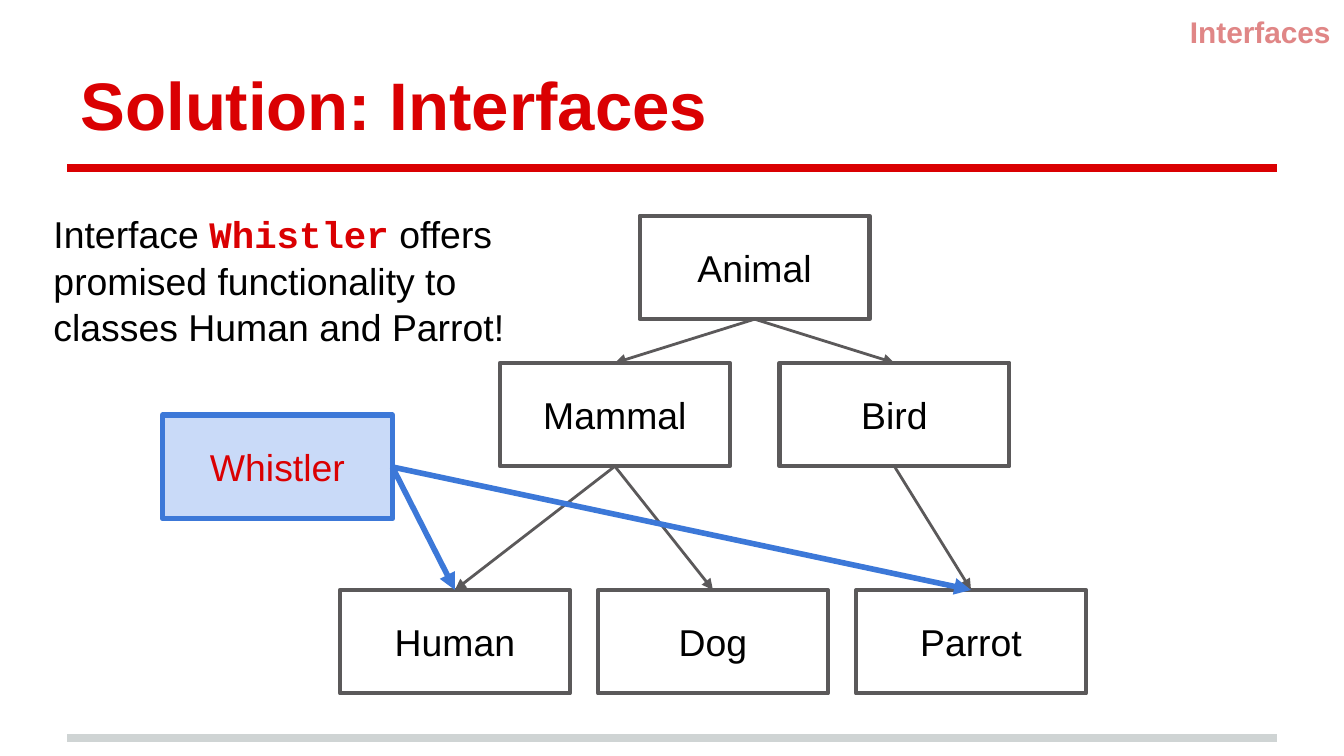
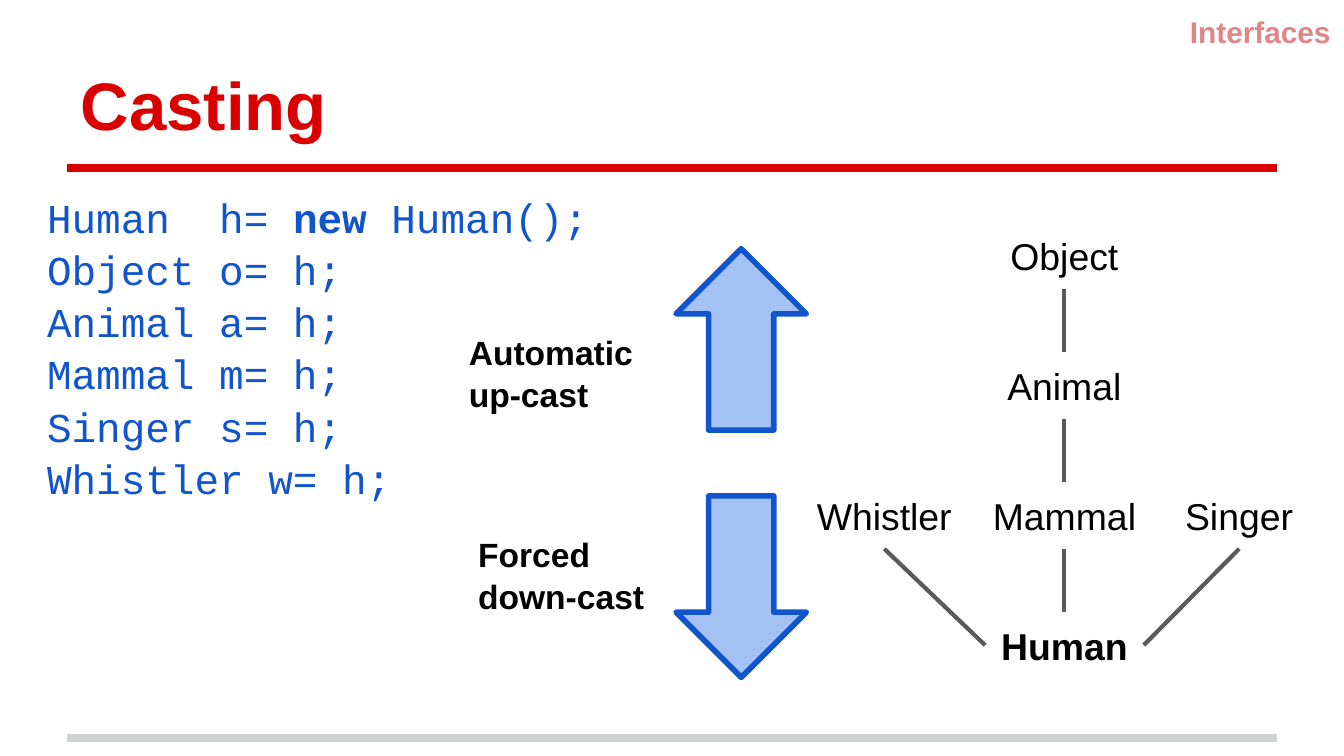
from lxml import etree
from pptx import Presentation
from pptx import util as u
from pptx.dml.color import RGBColor
from pptx.enum import shapes, text
from pptx.oxml import ns

RED = RGBColor(0xDA, 0x00, 0x02)
PALE_RED = RGBColor(0xE0, 0x86, 0x86)
PALE_GRAY = RGBColor(0xCF, 0xD4, 0xD4)
GRAY = RGBColor(0x5B, 0x59, 0x5A)
BLACK = RGBColor(0x00, 0x00, 0x00)
BLUE = RGBColor(0x3C, 0x78, 0xD8)
PALE_BLUE = RGBColor(0xC9, 0xDA, 0xF8)
CODE_BLUE = RGBColor(0x11, 0x55, 0xCC)
ARROW_BLUE = RGBColor(0xA4, 0xC2, 0xF4)
SANS, MONO = "Arial", "Courier New"

COLUMNS, ROWS = 100, 56.25
CELL = u.Inches(0.1)
NODE_WIDTH, NODE_HEIGHT = 17.1, 7.7
LABEL_HEIGHT = 5
TOP, LEFT, BOTTOM, RIGHT = range(4)  # connection sites of a box
CONTENT_LAYOUT, TITLE_LAYOUT = 1, 5


def cells(*counts):
    return [round(count * CELL) for count in counts]


def add_xml(parent, tag, **attributes):
    return etree.SubElement(parent, ns.qn(tag), attributes)


class Lesson:
    """Holds the deck, its style and the current page."""

    def __init__(self):
        self.deck = Presentation()
        self.deck.slide_width, self.deck.slide_height = cells(COLUMNS, ROWS)
        self.page = None

    def start_page(self, title, layout):
        self.page = self.deck.slides.add_slide(self.deck.slide_layouts[layout])
        for row, color in ((54.9, PALE_GRAY), (12.5, RED)):
            self.line((5, row), (95, row), color, 4)
        box = self.place(self.page.shapes.title, 5, 2.3, 90, 9.4)
        self.set_text(box, [title], 36, RED, bold=True, anchor=text.MSO_ANCHOR.BOTTOM)
        self.text_box((76.6, 0, 23.4, 4), ["Interfaces"], 16, PALE_RED,
                      bold=True, align=text.PP_ALIGN.RIGHT)

    def place(self, box, *area):
        box.left, box.top, box.width, box.height = cells(*area)
        return box

    def set_text(self, box, lines, size, color=BLACK, name=SANS, bold=False,
                 align=text.PP_ALIGN.LEFT, anchor=text.MSO_ANCHOR.TOP,
                 spacing=1.0, accent=None):
        """Fill a box; a line is a string or a list whose odd items are accented."""
        frame = box.text_frame
        frame.word_wrap = True
        frame.auto_size = text.MSO_AUTO_SIZE.NONE
        frame.vertical_anchor = anchor
        frame.margin_left = frame.margin_right = CELL
        frame.margin_top = frame.margin_bottom = CELL
        for index, line in enumerate(lines):
            para = frame.add_paragraph() if index else frame.paragraphs[0]
            para.alignment = align
            para.line_spacing = spacing
            para.space_before = u.Pt(0)
            for part in [line] if isinstance(line, str) else line:
                para.add_run().text = part
            for font in (para.font, *(span.font for span in para.runs)):
                font.size, font.name, font.bold = u.Pt(size), name, bold
                font.color.rgb = color
            for span in para.runs[1::2]:
                span.font.bold = True
                if accent:
                    span.font.name, span.font.color.rgb = accent

    def text_box(self, area, lines, size, color=BLACK, **style):
        box = self.page.shapes.add_textbox(*cells(*area))
        self.set_text(box, lines, size, color, **style)
        return box

    def code(self, area, lines):
        box = self.place(self.page.placeholders[1], *area)
        self.set_text(box, lines, 22, CODE_BLUE, MONO, spacing=1.06)
        for para in box.text_frame.paragraphs:
            settings = para._p.get_or_add_pPr()
            settings.set("marL", "0")
            settings.set("indent", "0")
            bullet = add_xml(settings, "a:buNone")
            settings.find(ns.qn("a:defRPr")).addprevious(bullet)

    def shape(self, kind, area, color, weight, fill=None):
        box = self.page.shapes.add_shape(kind, *cells(*area))
        box.shadow.inherit = False
        if fill is None:
            box.fill.background()
        else:
            box.fill.solid()
            box.fill.fore_color.rgb = fill
        box.line.color.rgb, box.line.width = color, u.Pt(weight)
        add_xml(box.line._get_or_add_ln(), "a:round")
        return box

    def node(self, name, left, top, color=GRAY, weight=2.25, fill=None, ink=BLACK):
        box = self.shape(shapes.MSO_SHAPE.RECTANGLE,
                         (left, top, NODE_WIDTH, NODE_HEIGHT), color, weight, fill)
        self.set_text(box, [name], 20, ink, align=text.PP_ALIGN.CENTER,
                      anchor=text.MSO_ANCHOR.MIDDLE)
        return box

    def label(self, name, center, top, width, bold=False):
        return self.text_box((center - width / 2, top, width, LABEL_HEIGHT), [name], 20,
                             bold=bold, align=text.PP_ALIGN.CENTER,
                             anchor=text.MSO_ANCHOR.MIDDLE)

    def line(self, start, end, color, weight):
        line = self.page.shapes.add_connector(
            shapes.MSO_CONNECTOR.STRAIGHT, *cells(*start, *end))
        line.line.color.rgb, line.line.width = color, u.Pt(weight)
        add_xml(line._element.spPr, "a:effectLst")
        return line

    def link(self, source, target, color=GRAY, weight=1.5,
             sites=(BOTTOM, TOP), arrow=True):
        line = self.line((0, 0), (1, 1), color, weight)
        line.begin_connect(source, sites[0])
        line.end_connect(target, sites[1])
        if arrow:
            add_xml(line.line._get_or_add_ln(), "a:tailEnd", type="triangle")


def interfaces_page(lesson):
    lesson.start_page("Solution: Interfaces", TITLE_LAYOUT)
    lesson.text_box((3, 14.6, 39.4, 10.9),
                    [["Interface ", "Whistler",
                      " offers promised functionality to classes Human and Parrot!"]],
                    20, spacing=1.04, accent=(MONO, RED))

    # Class tree
    animal = lesson.node("Animal", 47.6, 16.05)
    mammal, bird = (lesson.node(name, 37.2 + 20.8 * i, 27)
                    for i, name in enumerate(("Mammal", "Bird")))
    human, dog, parrot = (lesson.node(name, 25.3 + 19.2 * i, 43.9)
                          for i, name in enumerate(("Human", "Dog", "Parrot")))
    for parent, child in ((animal, mammal), (animal, bird), (mammal, human),
                          (mammal, dog), (bird, parrot)):
        lesson.link(parent, child)

    # Interface and the classes that implement it
    whistler = lesson.node("Whistler", 12.1, 30.9, BLUE, 3, PALE_BLUE, RED)
    for child in (human, parrot):
        lesson.link(whistler, child, BLUE, 3, (RIGHT, TOP))


def casting_page(lesson):
    lesson.start_page("Casting", CONTENT_LAYOUT)
    lesson.code((2.5, 13.1, 44.9, 40.7),
                [["Human  h= ", "new", " Human();"], "Object o= h;", "Animal a= h;",
                 "Mammal m= h;", "Singer s= h;", "Whistler w= h;"])

    # Cast directions
    for top, turn, left, label_top, lines in (
            (18.5, 0, 33.9, 23.6, ["Automatic", "up-cast"]),
            (36.9, 180, 34.6, 38.6, ["Forced", "down-cast"])):
        arrow = lesson.shape(shapes.MSO_SHAPE.UP_ARROW, (50.3, top, 9.7, 13.5),
                             CODE_BLUE, 3, ARROW_BLUE)
        arrow.rotation = turn
        lesson.text_box((left, label_top, 15.3, 7.7), lines, 18, bold=True, spacing=1.04)

    # Type hierarchy, evenly spaced downwards
    tops = [16.5 + 9.67 * i for i in range(4)]
    center = 79.2
    chain = [lesson.label(name, center, top, width, bold=name == "Human")
             for name, top, width in zip(("Object", "Animal", "Mammal", "Human"),
                                         tops, (10.6, 10.6, 12.8, 11.8))]
    for upper, lower in zip(chain, chain[1:]):
        lesson.link(upper, lower, weight=2.25, arrow=False)
    for name, middle, width, side in (("Whistler", 65.8, 14, LEFT),
                                      ("Singer", 92.2, 10.6, RIGHT)):
        interface = lesson.label(name, middle, tops[2], width)
        lesson.link(interface, chain[-1], weight=2.25, sites=(BOTTOM, side), arrow=False)


def main():
    lesson = Lesson()
    interfaces_page(lesson)
    casting_page(lesson)
    lesson.deck.save("out.pptx")


if __name__ == "__main__":
    main()
